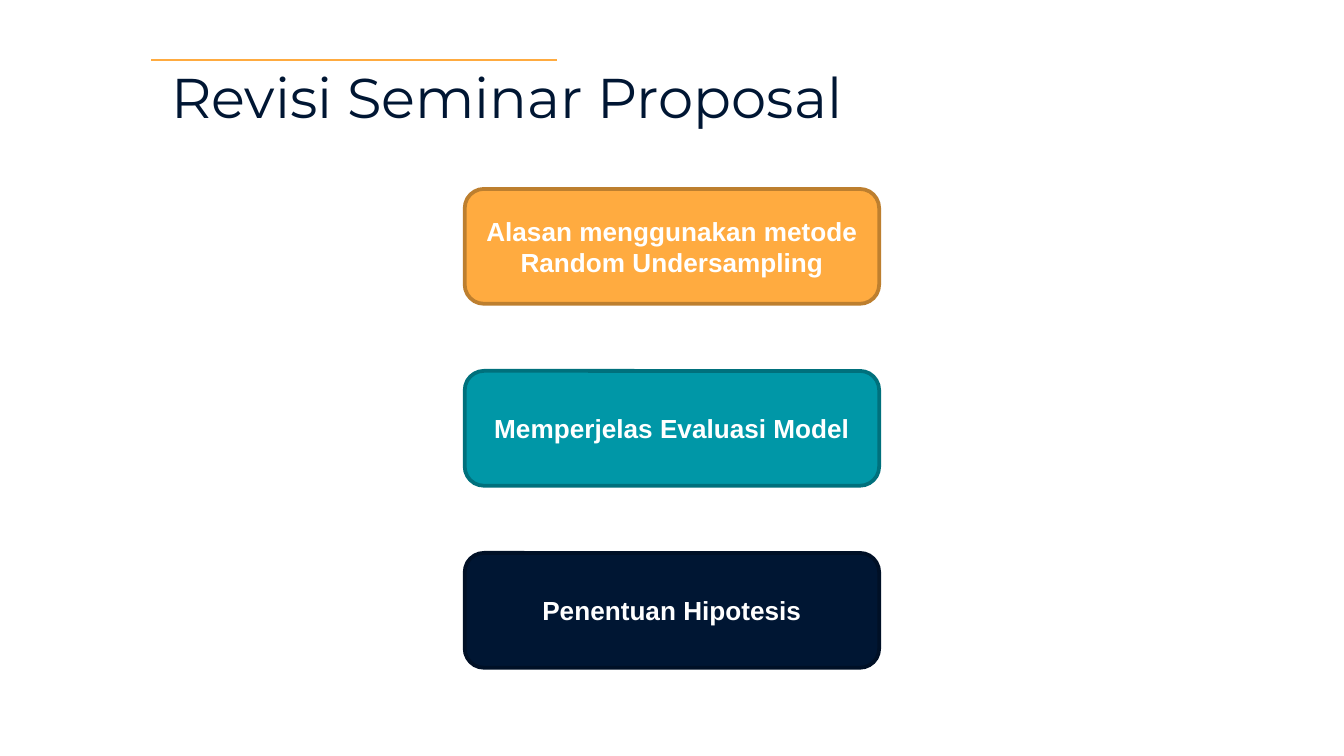
import pptx
import pptx.dml.color
import pptx.enum.shapes
import pptx.enum.text
import pptx.oxml.ns
import pptx.util
import lxml.etree

RGB = pptx.dml.color.RGBColor
NAVY = RGB(0x00, 0x16, 0x33)
INK = RGB(0x00, 0x10, 0x26)
TEAL = RGB(0x00, 0x97, 0xA7)
PINE = RGB(0x00, 0x70, 0x7C)
AMBER = RGB(0xFF, 0xAB, 0x40)
BROWN = RGB(0xBD, 0x7F, 0x2F)
WHITE = RGB(0xFF, 0xFF, 0xFF)

ALIGN = pptx.enum.text.PP_ALIGN
ANCHOR = pptx.enum.text.MSO_ANCHOR
SCALE = 9525


def px(*sizes):
    return [pptx.util.Emu(size * SCALE) for size in sizes]


class Deck:
    def __init__(self, wide, high):
        self.prs = pptx.Presentation()
        self.prs.slide_width, self.prs.slide_height = px(wide, high)
        self.slide = self.prs.slides.add_slide(self.prs.slide_layouts[6])

    def label(self, frame, text, font, size, color, bold, anchor):
        frame.word_wrap = True
        frame.vertical_anchor = anchor
        para = frame.paragraphs[0]
        para.alignment = ALIGN.CENTER
        run = para.add_run()
        run.text = text
        run.font.name = font
        run.font.size = pptx.util.Pt(size)
        run.font.bold = bold
        run.font.color.rgb = color

    def title(self, text, *area):
        frame = self.slide.shapes.add_textbox(*px(*area)).text_frame
        frame.margin_top, frame.margin_bottom = px(10, 10)
        frame.margin_left, frame.margin_right = px(10, 10)
        self.label(frame, text, "Montserrat", 30, NAVY, False, ANCHOR.BOTTOM)

    def rule(self, color, *ends):
        kind = pptx.enum.shapes.MSO_CONNECTOR.STRAIGHT
        line = self.slide.shapes.add_connector(kind, *px(*ends))
        line.line.color.rgb = color
        line.line.width = pptx.util.Pt(0.75)
        props = line._element.spPr
        lxml.etree.SubElement(props, pptx.oxml.ns.qn("a:effectLst"))

    def card(self, text, fill, edge, *area):
        kind = pptx.enum.shapes.MSO_SHAPE.ROUNDED_RECTANGLE
        box = self.slide.shapes.add_shape(kind, *px(*area))
        box.shadow.inherit = False
        box.fill.solid()
        box.fill.fore_color.rgb = fill
        box.line.color.rgb = edge
        box.line.width = pptx.util.Pt(2)
        self.label(box.text_frame, text, "Arial", 14, WHITE, True,
                   ANCHOR.MIDDLE)


def main():
    deck = Deck(960, 540)
    deck.title("Revisi Seminar Proposal", 88, 47, 548, 56)
    deck.rule(AMBER, 108, 43, 398, 43)
    cards = [
        ("Alasan menggunakan metode Random Undersampling", AMBER, BROWN),
        ("Memperjelas Evaluasi Model", TEAL, PINE),
        ("Penentuan Hipotesis", NAVY, INK),
    ]
    for row, (text, fill, edge) in enumerate(cards):
        deck.card(text, fill, edge, 332, 135 + 130 * row, 296, 82)
    deck.prs.save("out.pptx")


if __name__ == "__main__":
    main()
